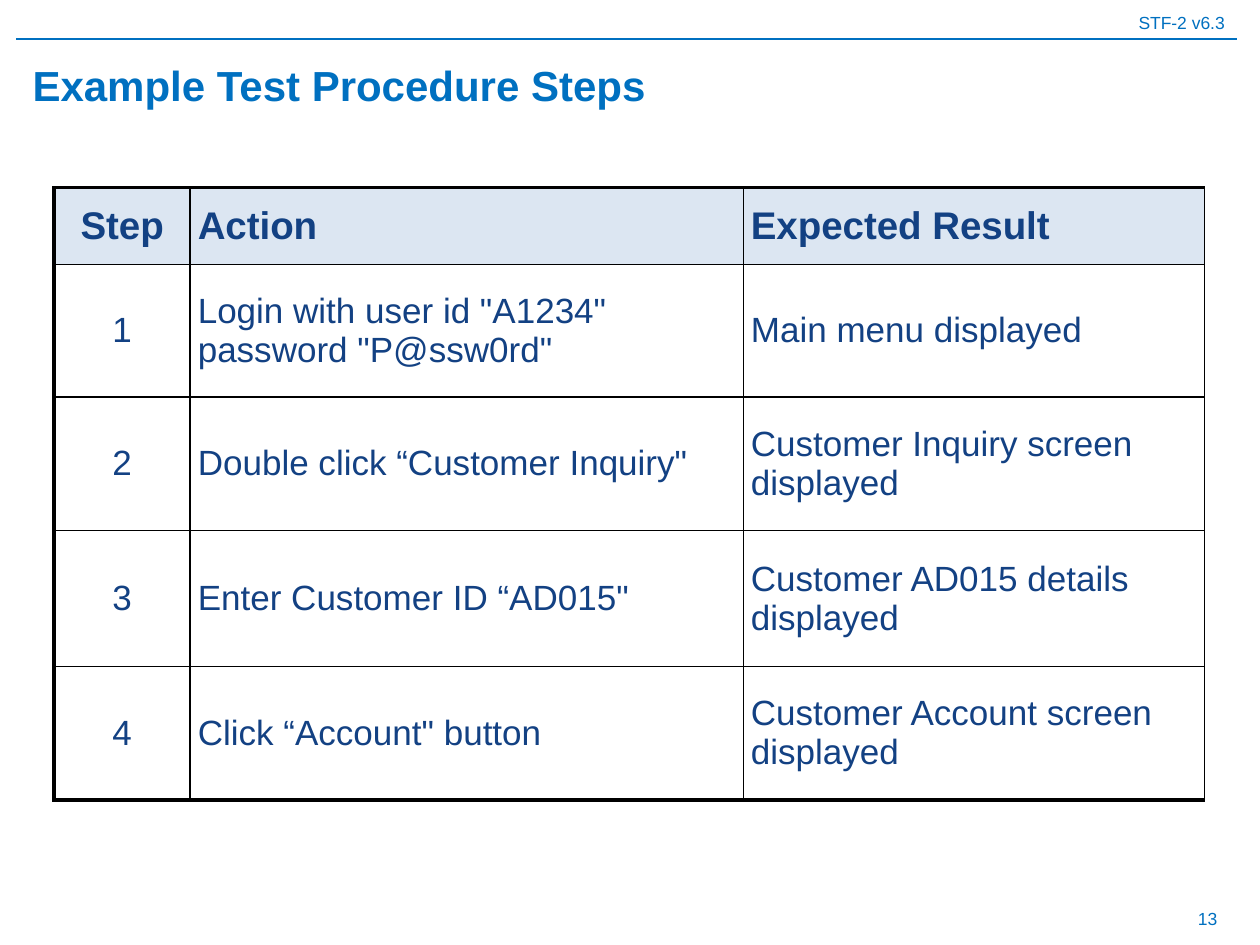
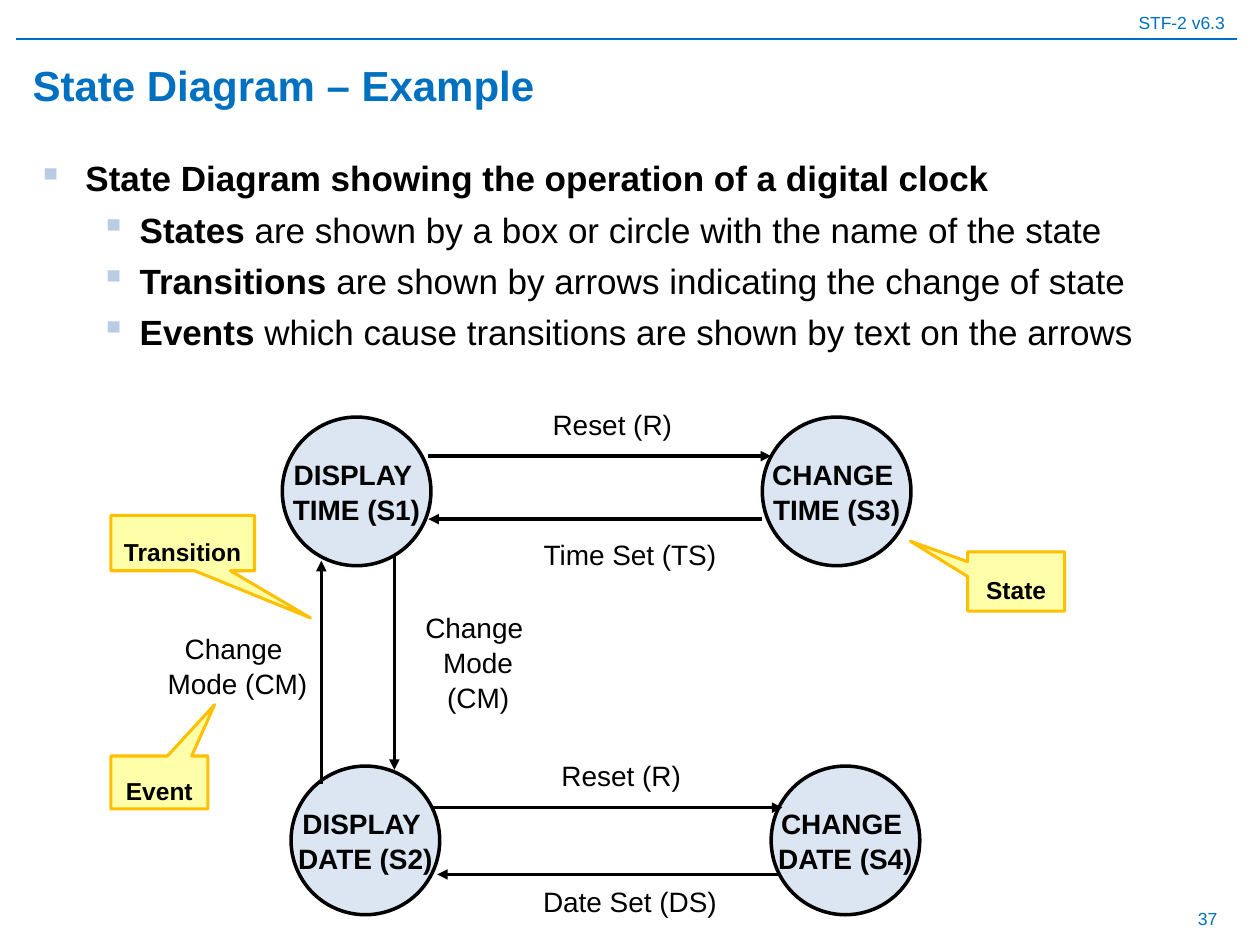
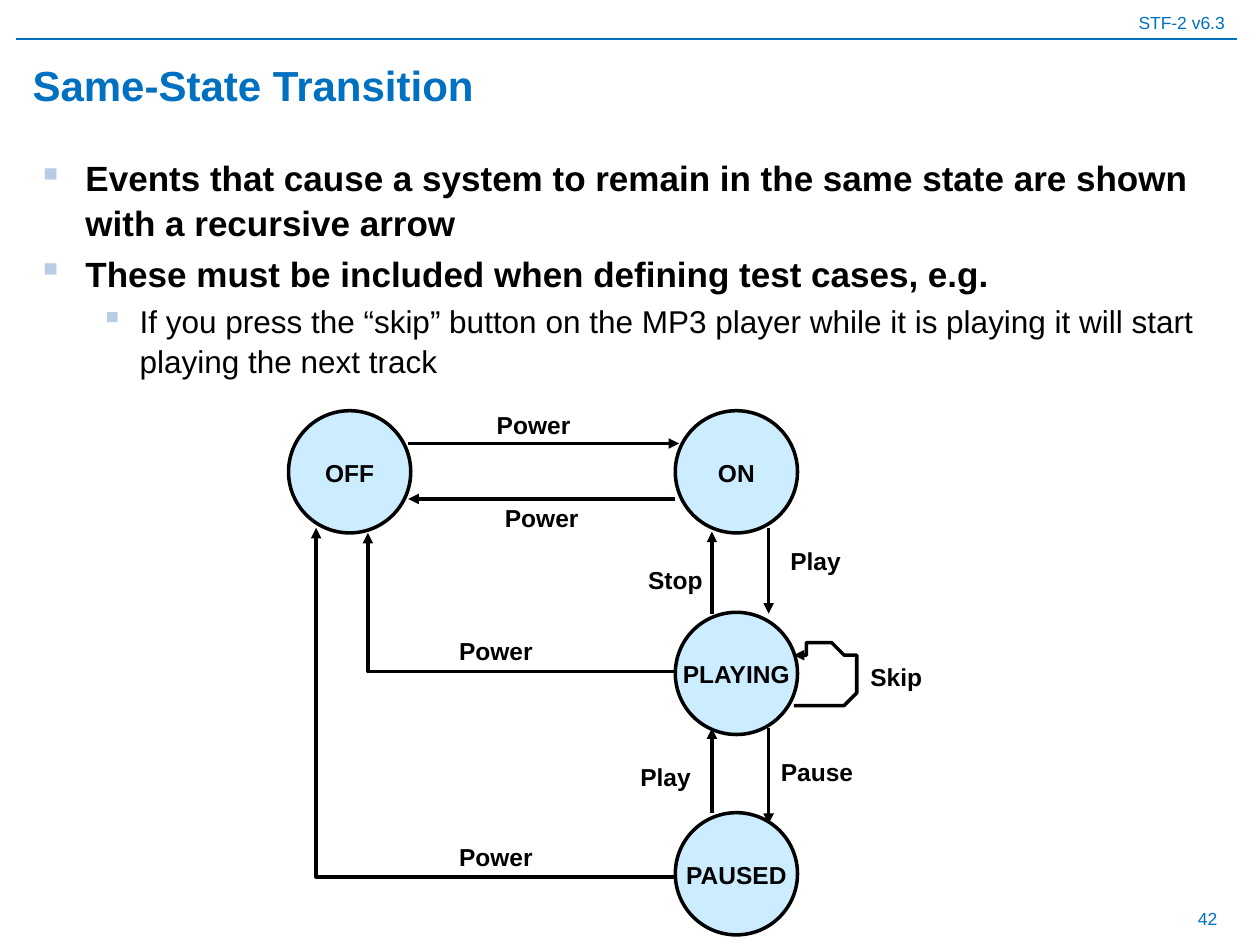
import math
import lxml.etree
import pptx
import pptx.dml.color
import pptx.enum.shapes
import pptx.enum.text
import pptx.oxml.ns
import pptx.util

hue = pptx.dml.color.RGBColor.from_string
qn = pptx.oxml.ns.qn
sub = lxml.etree.SubElement
Pt = pptx.util.Pt
Align = pptx.enum.text.PP_ALIGN
Mid = pptx.enum.text.MSO_ANCHOR.MIDDLE
Top = pptx.enum.text.MSO_ANCHOR.TOP
Form = pptx.enum.shapes.MSO_SHAPE
Wire = pptx.enum.shapes.MSO_CONNECTOR

FONT = "Arial"
BLUE, NAVY, BLACK = "0070C0", "134183", "000000"
PALE, SKY, MARK = "DCE6F2", "CCECFF", "B8CCE4"
CREAM, GOLD = "FFFFAA", "FFC000"

# Slide grid: 100 columns by 75 rows of square cells
deck = pptx.Presentation()
deck.slide_width = pptx.util.Inches(10)
deck.slide_height = pptx.util.Inches(7.5)
CELL = deck.slide_width / 100


def put(page, box, lines, size, bold=False, tint=BLACK, align=Align.CENTER,
        anchor=Mid, form=None, fill=PALE, edge=BLACK, weight=2):
    """Add a text box, or a filled shape if a form is given."""
    spot = [round(n * CELL) for n in box]
    if form is None:
        item = page.shapes.add_textbox(*spot)
    else:
        item = page.shapes.add_shape(form, *spot)
        item.shadow.inherit = False
        item.fill.solid()
        item.fill.fore_color.rgb = hue(fill)
        item.line.color.rgb = hue(edge)
        item.line.width = Pt(weight)
    frame = item.text_frame
    frame.word_wrap = align != Align.CENTER
    frame.vertical_anchor = anchor
    for i, line in enumerate(lines):
        para = frame.paragraphs[0] if i == 0 else frame.add_paragraph()
        para.alignment = align
        para.line_spacing = 1.05
        run = para.add_run()
        run.text = line
        run.font.name, run.font.size, run.font.bold = FONT, Pt(size), bold
        run.font.color.rgb = hue(tint)
    return item


def link(page, ends, kind=Wire.STRAIGHT, tint=BLACK, weight=2, arrow=True):
    """Add a connector between two grid points."""
    wire = page.shapes.add_connector(kind, *[round(n * CELL) for n in ends])
    wire.line.color.rgb = hue(tint)
    wire.line.width = Pt(weight)
    if arrow:
        sub(wire.line._get_or_add_ln(), qn("a:tailEnd"), type="triangle")
    sub(wire._element.spPr, qn("a:effectLst"))
    return wire


# Shared frame: header, rule, number, title and bulleted body
# Body items are (level, size, [(text, bold), ...])
slides = [
    ("13", "Example Test Procedure Steps", []),
    ("37", "State Diagram – Example", [
        (0, 20, [("State Diagram showing the operation of a digital clock", True)]),
        (1, 20, [("States", True),
                 (" are shown by a box or circle with the name of the state", False)]),
        (1, 20, [("Transitions", True),
                 (" are shown by arrows indicating the change of state", False)]),
        (1, 20, [("Events", True),
                 (" which cause transitions are shown by text on the arrows", False)]),
    ]),
    ("42", "Same-State Transition", [
        (0, 20, [("Events that cause a system to remain in the same state "
                  "are shown with a recursive arrow", True)]),
        (0, 20, [("These must be included when defining test cases, e.g.", True)]),
        (1, 18, [("If you press the “skip” button on the MP3 player while it is "
                  "playing it will start playing the next track", False)]),
    ]),
]
indents = [(3.8, -3.8), (8.1, -3.1)]
pages = []
for number, title, body in slides:
    page = deck.slides.add_slide(deck.slide_layouts[6])
    pages.append(page)
    head = put(page, (0, 0.4, 100, 2.7), ["STF-2 v6.3"], 10, tint=BLUE,
               align=Align.RIGHT, anchor=Top)
    head.text_frame.margin_right = round(2.8 * CELL)
    link(page, (1.3, 3.1, 98.2, 3.1), tint=BLUE, weight=0.75, arrow=False)
    put(page, (74.3, 70.9, 23.3, 3.9), [number], 10, tint=BLUE, align=Align.RIGHT)
    put(page, (1.6, 3.9, 96.1, 5.5), [title], 24, True, BLUE, Align.LEFT)
    if not body:
        continue
    frame = put(page, (2, 11.8, 96.5, 59.1), [], 20, align=Align.LEFT,
                anchor=Top).text_frame
    for i, (level, size, runs) in enumerate(body):
        para = frame.paragraphs[0] if i == 0 else frame.add_paragraph()
        para.level = level
        para.line_spacing = 1.05
        para.space_before = Pt(size / 5)
        props = para._p.get_or_add_pPr()
        left, hang = indents[level]
        props.set("marL", str(round(left * CELL)))
        props.set("indent", str(round(hang * CELL)))
        sub(sub(props, qn("a:buClr")), qn("a:srgbClr"), val=MARK)
        sub(props, qn("a:buChar"), char="▪")
        for text, bold in runs:
            run = para.add_run()
            run.text = text
            run.font.name, run.font.size, run.font.bold = FONT, Pt(size), bold
            run.font.color.rgb = hue(BLACK)

steps, clock, player = pages

# Test steps table
rows = [
    ("Step", "Action", "Expected Result"),
    ("1", 'Login with user id "A1234" password "P@ssw0rd"', "Main menu displayed"),
    ("2", 'Double click “Customer Inquiry"', "Customer Inquiry screen displayed"),
    ("3", 'Enter Customer ID “AD015"', "Customer AD015 details displayed"),
    ("4", 'Click “Account" button', "Customer Account screen displayed"),
]
wide = [10.8, 43.9, 36.6]
high = [6.1, 10.5, 10.6, 10.8, 10.6]
spot = [round(n * CELL) for n in (4.3, 14.9, sum(wide), sum(high))]
table = steps.shapes.add_table(len(rows), len(wide), *spot).table
table.first_row = table.horz_banding = False
for col, size in zip(table.columns, wide):
    col.width = round(size * CELL)
for r, texts in enumerate(rows):
    table.rows[r].height = round(high[r] * CELL)
    for c, text in enumerate(texts):
        cell = table.cell(r, c)
        cell.vertical_anchor = Mid
        cell.margin_left = cell.margin_right = round(0.6 * CELL)
        cell.margin_top = cell.margin_bottom = round(0.6 * CELL)
        para = cell.text_frame.paragraphs[0]
        para.alignment = Align.CENTER if c == 0 else Align.LEFT
        para.space_before = Pt(12)
        run = para.add_run()
        run.text = text
        run.font.name, run.font.bold = FONT, r == 0
        run.font.size = Pt(22 if r == 0 else 20)
        run.font.color.rgb = hue(NAVY)
        props = cell._tc.get_or_add_tcPr()
        sides = {"L": c == 0, "R": False, "T": r == 0, "B": r == len(rows) - 1}
        for side, thick in sides.items():
            edge = sub(props, qn("a:ln" + side), w=str(Pt(2.25 if thick else 1)))
            sub(sub(edge, qn("a:solidFill")), qn("a:srgbClr"), val=BLACK)
        if r == 0:
            cell.fill.solid()
            cell.fill.fore_color.rgb = hue(PALE)
        else:
            cell.fill.background()

# Clock states
for x, y, lines in [
    (22.4, 33.1, ["DISPLAY ", "TIME (S1)"]),
    (23.1, 60.8, ["DISPLAY ", "DATE (S2)"]),
    (61.2, 60.8, ["CHANGE ", "DATE (S4)"]),
    (60.5, 33.1, ["CHANGE ", "TIME (S3)"]),
]:
    put(clock, (x, y, 11.8, 11.8), lines, 16, True, form=Form.OVAL)

# Clock transitions
for ends in [
    (31.3, 44, 31.3, 61.1), (61.9, 69.4, 34.7, 69.4), (34, 36.2, 61.2, 36.2),
    (60.5, 41.2, 34, 41.2), (25.5, 62.2, 25.5, 44.5), (34.2, 64.1, 62.1, 64.1),
]:
    link(clock, ends)

# Clock events
for box, lines in [
    ((43.4, 58.8, 11.8, 5.3), ["Reset (R)"]),
    ((42.1, 69.3, 15.8, 4.4), ["Date Set (DS)"]),
    ((42.7, 31.1, 11.8, 5.1), ["Reset (R)"]),
    ((42.1, 41.2, 15.8, 5.4), ["Time Set (TS)"]),
    ((12.3, 48.9, 13.1, 7.8), ["Change ", "Mode (CM)"]),
    ((31.6, 48.3, 12.7, 8.4), ["Change ", "Mode (CM)"]),
]:
    put(clock, box, lines, 16)

# Clock callouts
for box, tip, text in [
    ((76.8, 43.8, 7.7, 4.7), (-1.09, -0.68), "State"),
    ((8.8, 60, 7.7, 4.2), (0.57, -1.47), "Event"),
    ((8.8, 40.9, 11.4, 4.4), (0.89, 1.35), "Transition"),
]:
    note = put(clock, box, [text], 14, True, form=Form.RECTANGULAR_CALLOUT,
               fill=CREAM, edge=GOLD, weight=1.75)
    note.adjustments[0], note.adjustments[1] = tip
    note.text_frame.margin_top = round(1.4 * CELL)
    note.text_frame.margin_bottom = round(0.2 * CELL)

# Player transitions
for ends in [
    (56.5, 64.5, 56.5, 57.8), (61, 57.8, 61, 65.4), (61, 41.9, 61, 48.7),
    (56.5, 48.7, 56.5, 42.2), (32.4, 35.2, 53.9, 35.2), (53.6, 39.6, 32.4, 39.6),
]:
    link(player, ends)
for ends in [(53.5, 53.3, 29.2, 42.3), (53.5, 69.6, 25.1, 41.9)]:
    bend = link(player, ends, Wire.ELBOW)
    shape = bend._element.spPr.find(qn("a:prstGeom"))
    sub(shape.find(qn("a:avLst")), qn("a:gd"), name="adj1", fmla="val 100000")

# Player states
for x, y, text in [
    (22.9, 32.6, "OFF"), (53.6, 32.6, "ON"),
    (53.6, 48.6, "PLAYING"), (53.6, 64.5, "PAUSED"),
]:
    put(player, (x, y, 9.7, 9.7), [text], 14, True, form=Form.OVAL, fill=SKY)

# Player events
for x, y, width, text in [
    (37, 31.9, 10.7, "Power"), (50.4, 44.2, 6.4, "Stop"),
    (60.8, 42.7, 8.4, "Play "), (60.8, 59.5, 8.1, "Pause"),
    (38.5, 39.3, 9, "Power"), (49.5, 59.9, 7.2, "Play "),
    (34.9, 49.9, 8.9, "Power"), (34.9, 66.2, 8.9, "Power"),
    (68.1, 51.9, 9, "Skip"),
]:
    side = Align.LEFT if text == "Skip" else Align.CENTER
    put(player, (x, y, width, 3.4), [text], 14, True, align=side, anchor=Top)

# Loop arrow from playing back to itself
arc = [(65.3 + 2.9 * math.cos(math.radians(a)), 53.7 + 2.4 * math.sin(math.radians(a)))
       for a in range(130, -131, -10)]
pen = player.shapes.build_freeform(*arc[0], scale=CELL)
pen.add_line_segments(arc[1:], close=False)
loop = pen.convert_to_shape()
loop.shadow.inherit = False
loop.fill.background()
loop.line.color.rgb = hue(BLACK)
loop.line.width = Pt(2)
sub(loop.line._get_or_add_ln(), qn("a:tailEnd"), type="triangle")

deck.save("out.pptx")
